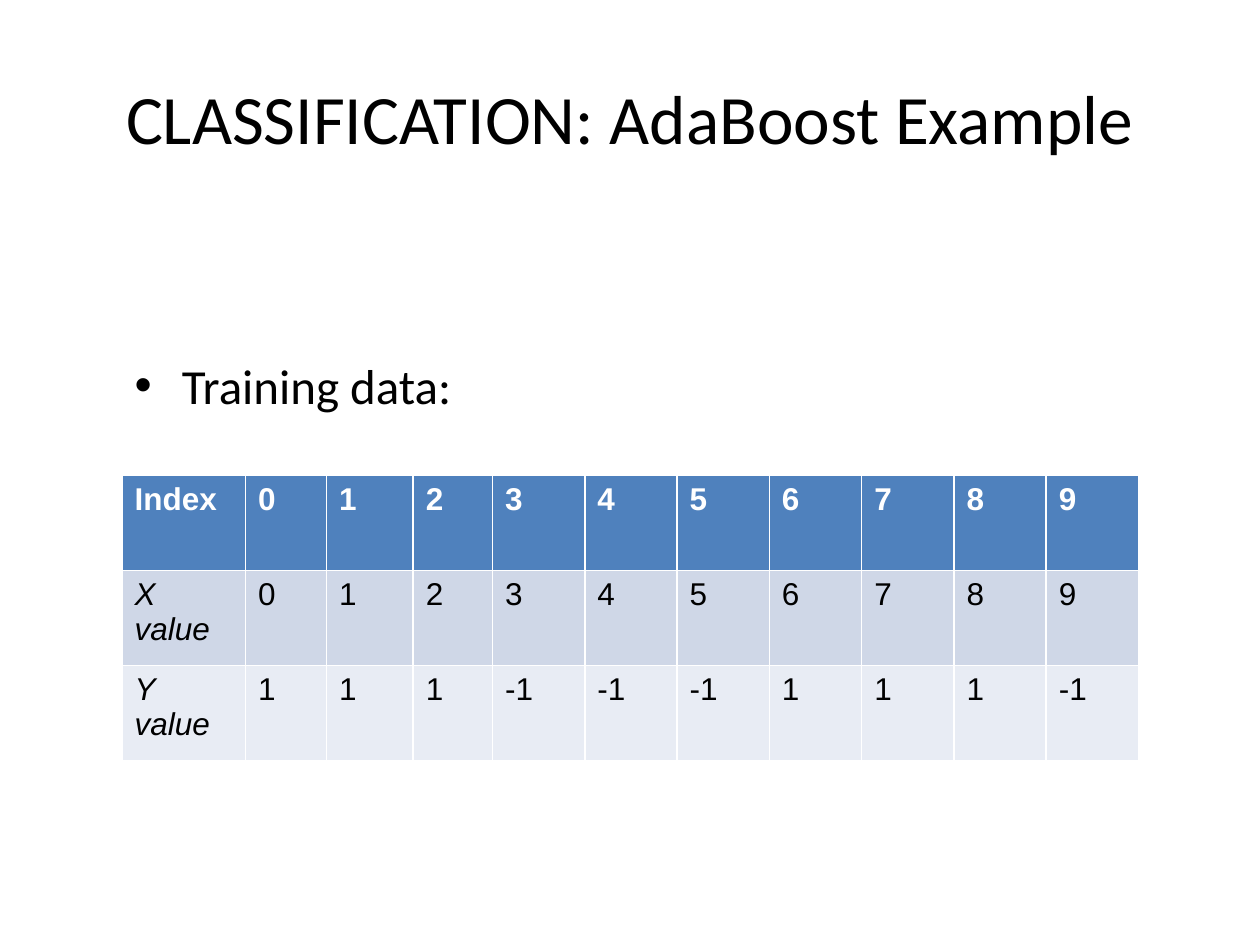
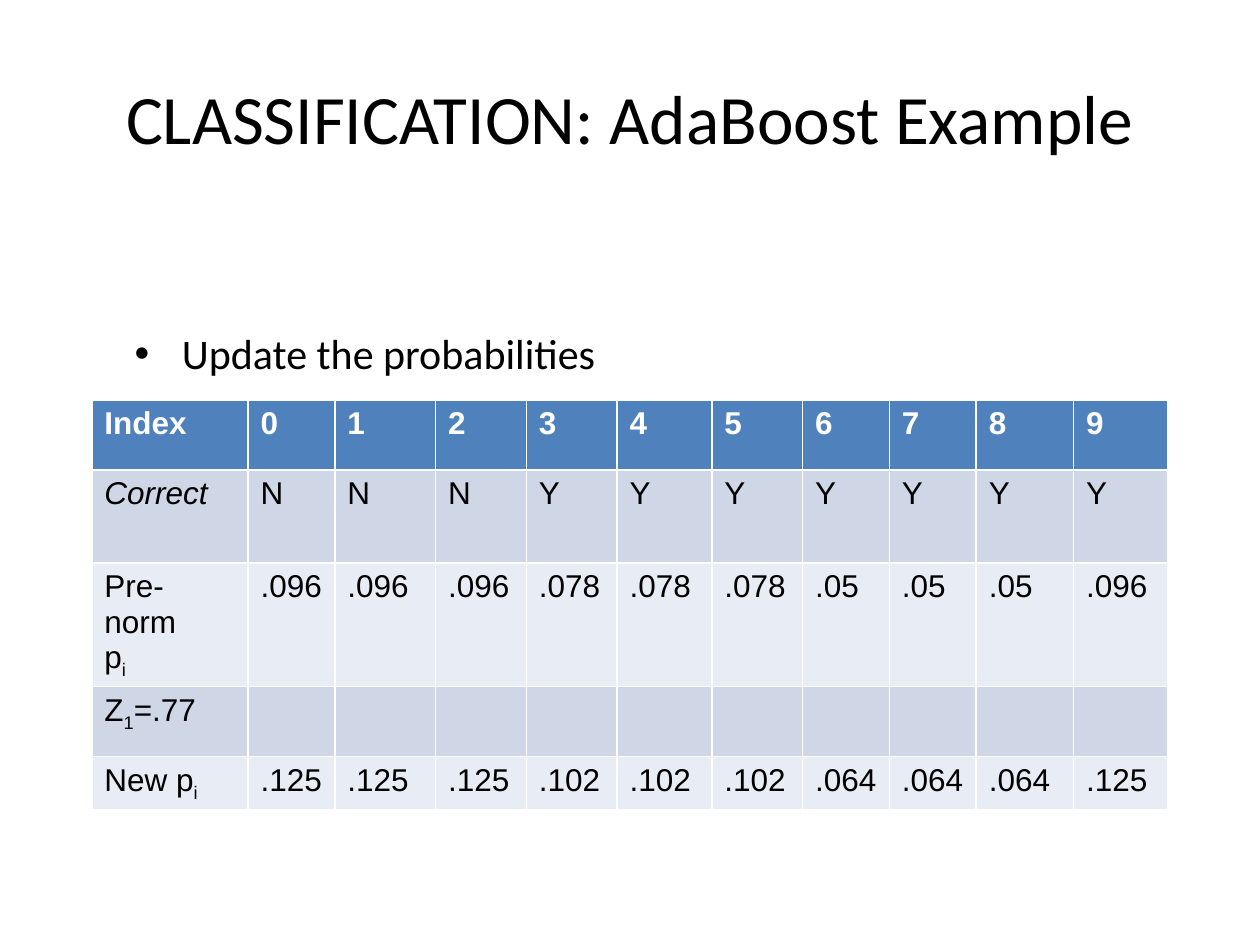
"""Build two slides of an AdaBoost worked example, each with a bullet and a table."""
from pptx import Presentation, util as u
from pptx.dml.color import RGBColor
from pptx.enum import text as t

COLOURS = {"ink": "000000", "header": "4F81BD", "header_text": "FFFFFF",
           "odd_row": "CFD7E7", "even_row": "E8ECF4"}
TITLE = "CLASSIFICATION: AdaBoost Example"
HEADER = ["Index", *"0123456789"]
ITALIC_LABELS = {"X value", "Y value", "Correct"}

PAGES = [
    {
        "bullet": "Training data:", "bullet_size": 28, "body_top": 7.04,
        "table_at": (2.46, 9.58),
        "columns": [2.49, 1.63, 1.75, 1.6] + [1.86] * 7,
        "heights": [1.92] * 3,
        "rows": [
            HEADER,
            ["X value", *"0123456789"],
            ["Y value", "1", "1", "1", "-1", "-1", "-1", "1", "1", "1", "-1"],
        ],
    },
    {
        "bullet": "Update the probabilities", "bullet_size": 24, "body_top": 6.48,
        "table_at": (1.85, 8.06),
        "columns": [3.15, 1.75, 2.03, 1.83, 1.83, 1.91, 1.83, 1.75, 1.75, 1.96, 1.91],
        "heights": [1.41, 1.88, 1.41, 1.41, 1.02],
        "rows": [
            HEADER,
            ["Correct", *"NNNYYYYYYY"],
            ["Pre-norm\np_i"] + [".096"] * 3 + [".078"] * 3 + [".05"] * 3 + [".096"],
            ["Z_1_=.77"] + [""] * 10,
            ["New p_i"] + [".125"] * 3 + [".102"] * 3 + [".064"] * 3 + [".125"],
        ],
    },
]


def place(box, left, top, width, height):
    box.left, box.top = u.Cm(left), u.Cm(top)
    box.width, box.height = u.Cm(width), u.Cm(height)


def style(para, font, size, colour, bold=False, italic=False):
    for span in para.runs:
        span.font.name = font
        span.font.size = u.Pt(size)
        span.font.color.rgb = RGBColor.from_string(COLOURS[colour])
        span.font.bold = bold
        span.font.italic = italic


def fill_placeholder(box, words, size, anchor):
    frame = box.text_frame
    frame.text = words
    frame.auto_size = t.MSO_AUTO_SIZE.NONE
    frame.vertical_anchor = anchor
    para = frame.paragraphs[0]
    para.space_before = u.Pt(0)
    style(para, "Calibri", size, "ink")


def write_subscripts(para):
    """Turn every second part between underscores into a subscript."""
    parts = para.text.split("_")
    para.text = parts[0]
    for number, part in enumerate(parts[1:], 1):
        span = para.add_run()
        span.text = part
        if number % 2:
            span._r.get_or_add_rPr().set("baseline", "-25000")


def fill_cell(cell, words, row):
    if row == 0:
        fill, colour = "header", "header_text"
    else:
        fill, colour = ("odd_row" if row % 2 else "even_row"), "ink"
    cell.fill.solid()
    cell.fill.fore_color.rgb = RGBColor.from_string(COLOURS[fill])
    cell.text_frame.text = words
    for para in cell.text_frame.paragraphs:
        if "_" in para.text:
            write_subscripts(para)
        style(para, "Arial", 18, colour, row == 0, words in ITALIC_LABELS)


def add_data_table(page, content):
    rows, columns, heights = content["rows"], content["columns"], content["heights"]
    left, top = content["table_at"]
    table = page.shapes.add_table(len(rows), len(columns), u.Cm(left), u.Cm(top),
                                  u.Cm(sum(columns)), u.Cm(sum(heights))).table
    for column, width in zip(table.columns, columns):
        column.width = u.Cm(width)
    for number, (row, height) in enumerate(zip(table.rows, heights)):
        row.height = u.Cm(height)
        for cell, words in zip(row.cells, rows[number]):
            fill_cell(cell, words, number)


def add_page(deck, content):
    page = deck.slides.add_slide(deck.slide_layouts[1])
    title, body = page.shapes.title, page.placeholders[1]
    place(title, 1.27, 0.76, 22.86, 3.18)
    fill_placeholder(title, TITLE, 39.6, t.MSO_ANCHOR.MIDDLE)
    title.text_frame.paragraphs[0].alignment = t.PP_ALIGN.CENTER
    place(body, 2.46, content["body_top"], 21.13, 10.49)
    fill_placeholder(body, content["bullet"], content["bullet_size"], t.MSO_ANCHOR.TOP)
    add_data_table(page, content)


def main():
    deck = Presentation()
    deck.slide_width, deck.slide_height = u.Cm(25.4), u.Cm(19.05)
    for content in PAGES:
        add_page(deck, content)
    deck.save("out.pptx")


if __name__ == "__main__":
    main()
